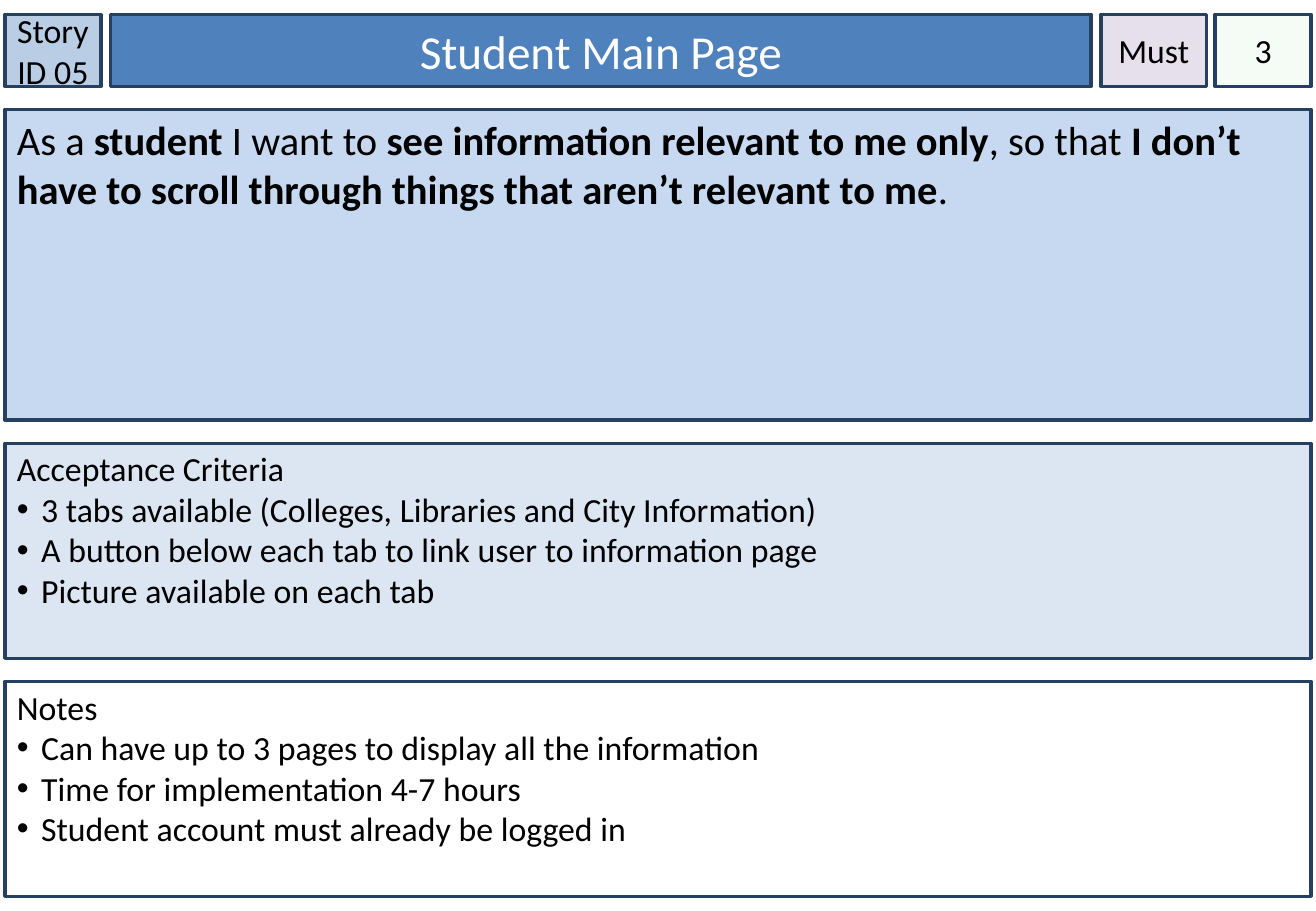
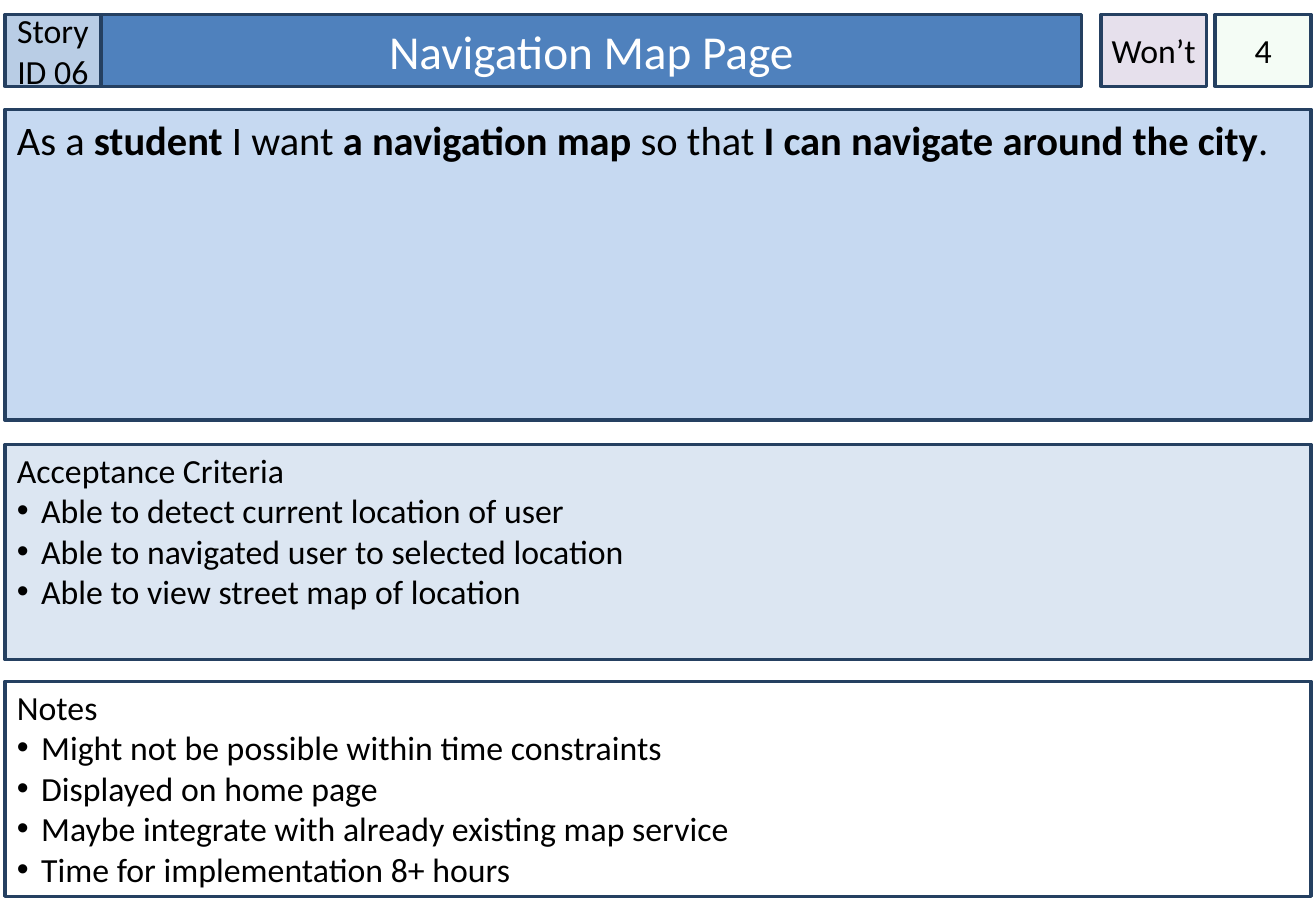
from typing import NamedTuple

from lxml.etree import SubElement
from pptx import Presentation
from pptx.dml.color import RGBColor
from pptx.enum.shapes import MSO_SHAPE as Preset
from pptx.enum.text import MSO_ANCHOR as Anchor, MSO_AUTO_SIZE as AutoSize, PP_ALIGN as Align
from pptx.oxml.ns import qn
from pptx.shapes.autoshape import Shape
from pptx.slide import Slide
from pptx.util import Inches, Pt

BLACK = RGBColor(0x00, 0x00, 0x00)
WHITE = RGBColor(0xFF, 0xFF, 0xFF)
NAVY = RGBColor(0x25, 0x40, 0x61)
TITLE_BLUE = RGBColor(0x4F, 0x81, 0xBD)
ID_BLUE = RGBColor(0xB9, 0xCD, 0xE5)
STORY_BLUE = RGBColor(0xC6, 0xD9, 0xF1)
CRITERIA_BLUE = RGBColor(0xDC, 0xE6, 0xF2)
PRIORITY_LILAC = RGBColor(0xE6, 0xE0, 0xEC)
POINTS_GREEN = RGBColor(0xCC, 0xF0, 0xCD)

FONT = "Calibri"
LEFT, WIDTH = 0.04, 10.75
HEADER_TOP, HEADER_HEIGHT = 0.12, 0.59
LIST_HEIGHT = 1.77


class Span(NamedTuple):
    text: str
    bold: bool = False


class Para(NamedTuple):
    spans: list[Span]
    bulleted: bool = False


class Area(NamedTuple):
    left: float
    top: float
    width: float
    height: float


class Style(NamedTuple):
    fill: RGBColor
    size: int = 20
    colour: RGBColor = BLACK
    align: Align = Align.LEFT
    anchor: Anchor = Anchor.TOP
    side_inset: float = 0.1
    top_inset: float = 0.05
    wrap: bool = True
    opacity: int = 100


class Story(NamedTuple):
    number: str
    title: str
    title_left: float
    priority: str
    points: str
    wish: list[Span]
    criteria_top: float
    criteria: list[str]
    notes: list[str]


def tag_style(fill: RGBColor, wrap: bool = True, opacity: int = 100) -> Style:
    return Style(fill, align=Align.CENTER, anchor=Anchor.MIDDLE, side_inset=0,
                 wrap=wrap, opacity=opacity)


TITLE = Style(TITLE_BLUE, 28, WHITE, Align.CENTER, Anchor.MIDDLE)
STORY_ID = tag_style(ID_BLUE)
PRIORITY = tag_style(PRIORITY_LILAC, wrap=False)
POINTS = tag_style(POINTS_GREEN, opacity=20)
WISH = Style(STORY_BLUE, 24)
CRITERIA = Style(CRITERIA_BLUE, top_inset=0.04)
NOTES = Style(WHITE, top_inset=0.04)

STORIES = [
    Story(
        "05", "Student Main Page", 0.91, "Must", "3",
        [Span("As a "), Span("student", True), Span(" I want to "),
         Span("see information relevant to me only", True), Span(", so that "),
         Span("I don’t have to scroll through things that aren’t relevant to me", True),
         Span(".")],
        3.65,
        ["3 tabs available (Colleges, Libraries and City Information)",
         "A button below each tab to link user to information page",
         "Picture available on each tab"],
        ["Can have up to 3 pages to display all the information",
         "Time for implementation 4-7 hours",
         "Student account must already be logged in"],
    ),
    Story(
        "06", "Navigation Map Page", 0.83, "Won’t", "4",
        [Span("As a "), Span("student", True), Span(" I want "),
         Span("a navigation map ", True), Span("so that "),
         Span("I can navigate around the city", True), Span(".")],
        3.66,
        ["Able to detect current location of user",
         "Able to navigated user to selected location",
         "Able to view street map of location"],
        ["Might not be possible within time constraints",
         "Displayed on home page",
         "Maybe integrate with already existing map service",
         "Time for implementation 8+ hours"],
    ),
]


def plain(text: str) -> list[Para]:
    return [Para([Span(text)])]


def listing(heading: str, items: list[str]) -> list[Para]:
    return plain(heading) + [Para([Span(item)], True) for item in items]


def header_area(left: float, width: float) -> Area:
    return Area(left, HEADER_TOP, width, HEADER_HEIGHT)


def write_text(box: Shape, paras: list[Para], style: Style) -> None:
    frame = box.text_frame
    frame.auto_size = AutoSize.NONE
    frame.word_wrap = style.wrap
    frame.vertical_anchor = style.anchor
    frame.margin_left = frame.margin_right = Inches(style.side_inset)
    frame.margin_top = Inches(style.top_inset)
    frame.margin_bottom = Inches(0.05)
    for index, content in enumerate(paras):
        para = frame.add_paragraph() if index else frame.paragraphs[0]
        para.alignment = style.align
        if content.bulleted:
            properties = para._p.get_or_add_pPr()
            properties.set("marL", str(Inches(0.2)))
            properties.set("indent", str(Inches(-0.2)))
            SubElement(properties, qn("a:buFont"), typeface="Arial")
            SubElement(properties, qn("a:buChar"), char="•")
        for span in content.spans:
            run = para.add_run()
            run.text = span.text
            run.font.name = FONT
            run.font.size = Pt(style.size)
            run.font.bold = span.bold
            run.font.color.rgb = style.colour


def format_box(box: Shape, paras: list[Para], style: Style) -> None:
    box.fill.solid()
    box.fill.fore_color.rgb = style.fill
    if style.opacity < 100:
        colour = box.fill._xPr.find(qn("a:solidFill"))[0]
        SubElement(colour, qn("a:alpha"), val=str(style.opacity * 1000))
    box.line.color.rgb = NAVY
    box.line.width = Pt(2)
    write_text(box, paras, style)


def add_box(page: Slide, area: Area, paras: list[Para], style: Style) -> None:
    box = page.shapes.add_shape(Preset.RECTANGLE, *map(Inches, area))
    box.shadow.inherit = False
    format_box(box, paras, style)


def place_title(page: Slide, area: Area, text: str) -> None:
    title = page.shapes.title
    title.left, title.top, title.width, title.height = map(Inches, area)
    format_box(title, plain(text), TITLE)


def draw_story(page: Slide, story: Story) -> None:
    place_title(page, header_area(story.title_left, 8.07), story.title)
    boxes = [
        (header_area(LEFT, 0.79), plain(f"Story ID {story.number}"), STORY_ID),
        (header_area(9.06, 0.87), plain(story.priority), PRIORITY),
        (header_area(10, 0.79), plain(story.points), POINTS),
        (Area(LEFT, 0.9, WIDTH, 2.56), [Para(story.wish)], WISH),
        (Area(LEFT, story.criteria_top, WIDTH, LIST_HEIGHT),
         listing("Acceptance Criteria", story.criteria), CRITERIA),
        (Area(LEFT, 5.61, WIDTH, LIST_HEIGHT), listing("Notes", story.notes), NOTES),
    ]
    for area, paras, style in boxes:
        add_box(page, area, paras, style)


def main() -> None:
    deck = Presentation()
    deck.slide_width, deck.slide_height = Inches(10.83), Inches(7.5)
    title_only = deck.slide_layouts[5]
    for story in STORIES:
        draw_story(deck.slides.add_slide(title_only), story)
    deck.save("out.pptx")


if __name__ == "__main__":
    main()
